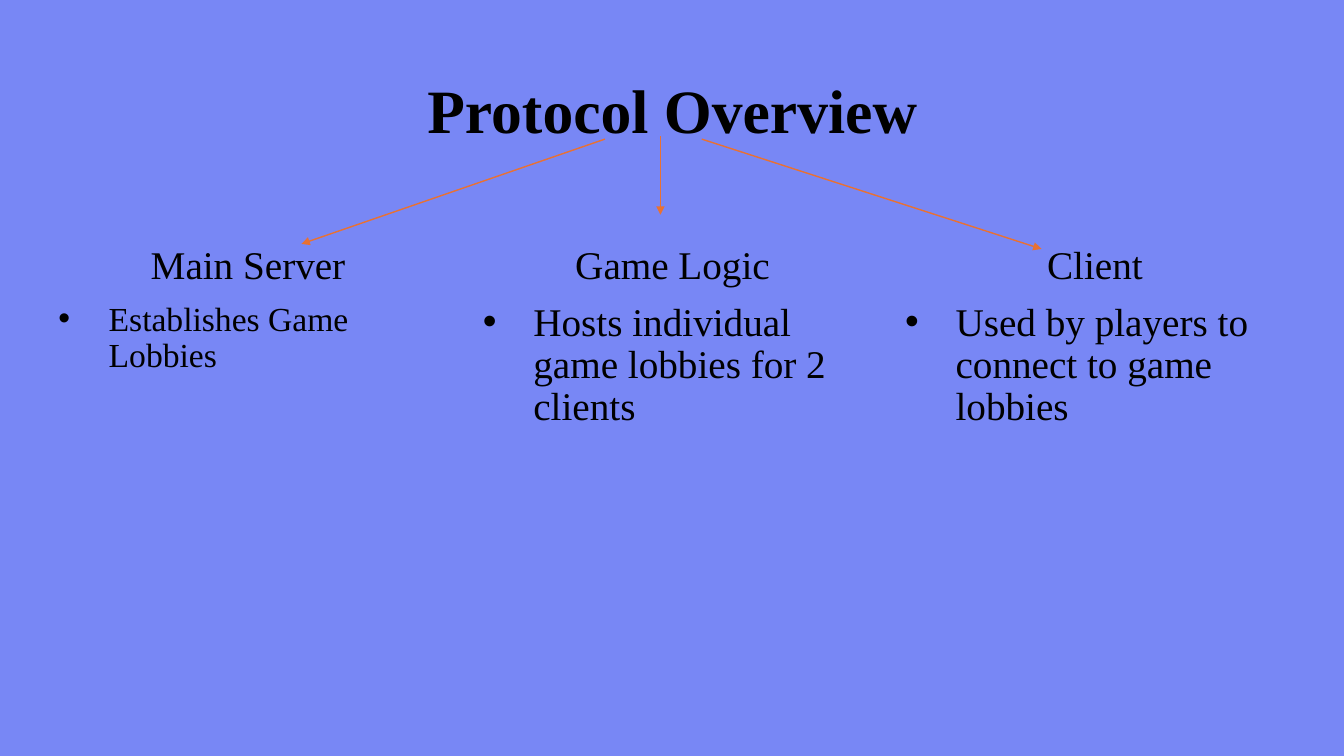
from lxml import etree
from pptx import Presentation
from pptx.dml.color import RGBColor
from pptx.enum.shapes import MSO_CONNECTOR
from pptx.enum.text import MSO_ANCHOR, MSO_AUTO_SIZE, PP_ALIGN
from pptx.oxml.ns import qn
from pptx.util import Inches, Pt

BACKGROUND = RGBColor(0x78, 0x87, 0xF5)
INK = RGBColor(0x00, 0x00, 0x00)
ARROW = RGBColor(0xE9, 0x71, 0x32)
FONT = "Times New Roman"

COLUMN_TOP, COLUMN_WIDTH, COLUMN_HEIGHT = 1.74, 3.96, 4.76


class OverviewSlide:
    def __init__(self, presentation):
        layout = presentation.slide_layouts.get_by_name("Title and Content")
        self.slide = presentation.slides.add_slide(layout)
        fill = self.slide.background.fill
        fill.solid()
        fill.fore_color.rgb = BACKGROUND

    def place(self, shape, left, top, width, height):
        shape.left, shape.top = Inches(left), Inches(top)
        shape.width, shape.height = Inches(width), Inches(height)

    def style(self, paragraph, size, align, before=0, bold=False):
        paragraph.alignment = align
        paragraph.line_spacing = 0.9
        paragraph.space_before = Pt(before)
        paragraph.space_after = Pt(0)
        font = paragraph.font
        font.name, font.size, font.bold = FONT, Pt(size), bold
        font.color.rgb = INK

    def bullet(self, paragraph, indent, char=None):
        """Set a hanging bullet, or remove the inherited one when char is None."""
        properties = paragraph._p.get_or_add_pPr()
        properties.set("marL", str(Inches(indent)))
        properties.set("indent", str(-Inches(indent)))
        if char:
            typeface = etree.Element(qn("a:buFont"), typeface="Arial")
            marks = [typeface, etree.Element(qn("a:buChar"), char=char)]
        else:
            marks = [etree.Element(qn("a:buNone"))]
        default_run = properties.find(qn("a:defRPr"))
        for mark in marks:
            default_run.addprevious(mark)

    def title(self, text):
        title = self.slide.shapes.title
        self.place(title, 0.92, 0.4, 11.5, 1.45)
        frame = title.text_frame
        frame.text = text
        frame.vertical_anchor = MSO_ANCHOR.MIDDLE
        self.style(frame.paragraphs[0], 44, PP_ALIGN.CENTER, bold=True)

    def column(self, left, heading, role, role_size=28, body=None):
        """Fill the given body placeholder, or a new text box, with one part."""
        if body is None:
            body = self.slide.shapes.add_textbox(0, 0, 0, 0)
        self.place(body, left, COLUMN_TOP, COLUMN_WIDTH, COLUMN_HEIGHT)
        frame = body.text_frame
        frame.word_wrap = True
        frame.auto_size = MSO_AUTO_SIZE.NONE
        frame.vertical_anchor = MSO_ANCHOR.TOP
        frame.margin_top = Inches(0.7)
        frame.text = heading
        heading_line = frame.paragraphs[0]
        self.style(heading_line, 28, PP_ALIGN.CENTER)
        self.bullet(heading_line, 0)
        role_line = frame.add_paragraph()
        role_line.text = role
        self.style(role_line, role_size, PP_ALIGN.LEFT, before=10)
        self.bullet(role_line, 0.5, "•")

    def arrow(self, start, end):
        connector = self.slide.shapes.add_connector(
            MSO_CONNECTOR.STRAIGHT, *map(Inches, start + end))
        connector.line.color.rgb = ARROW
        connector.line.width = Pt(1)
        outline = connector.line._get_or_add_ln()
        etree.SubElement(outline, qn("a:tailEnd"), type="triangle")
        etree.SubElement(connector._element.spPr, qn("a:effectLst"))


def main():
    presentation = Presentation()
    presentation.slide_width = Inches(13.33)
    presentation.slide_height = Inches(7.5)

    overview = OverviewSlide(presentation)
    overview.title("Protocol Overview")
    overview.column(4.69, "Game Logic", "Hosts individual game lobbies for 2 clients",
                    body=overview.slide.placeholders[1])
    overview.column(0.48, "Main Server", "Establishes Game Lobbies", role_size=24)
    overview.column(8.88, "Client", "Used by players to connect to game lobbies")

    overview.arrow((6.96, 1.38), (10.33, 2.47))
    overview.arrow((6.55, 1.35), (6.55, 2.13))
    overview.arrow((6, 1.38), (2.99, 2.42))

    presentation.save("out.pptx")


if __name__ == "__main__":
    main()
